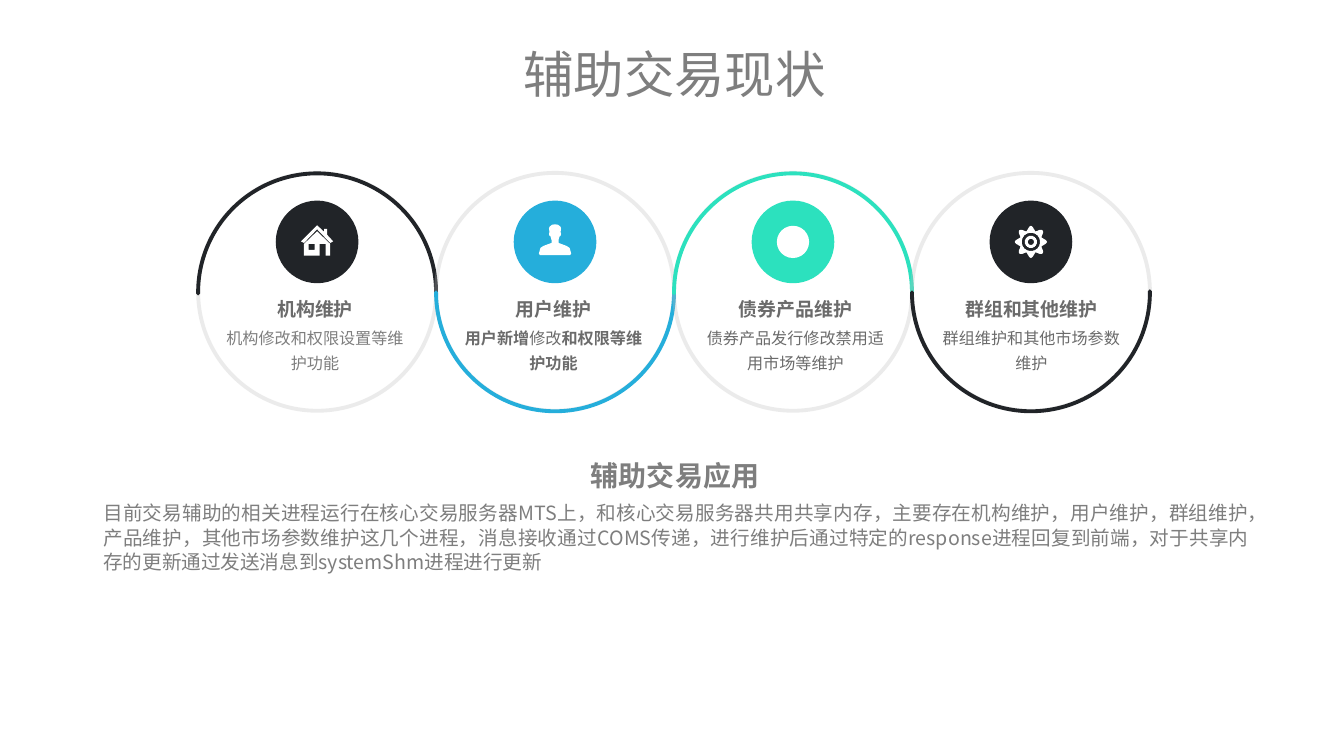
import math

from lxml import etree
from pptx import Presentation
from pptx import util as u
from pptx.dml import color as dml
from pptx.enum import shapes, text
from pptx.oxml import ns

PX = 9144
FONT = "Noto Sans CJK SC"
COLORS = {
    "ink": "212428",
    "blue": "25AEDB",
    "mint": "2CE1BE",
    "ring": "BFBFBF",
    "white": "FFFFFF",
    "dark_text": "6B6B6B",
    "gray_text": "7E7E7E",
}
RING = 472
DISC = 164
LINE_WIDTH = 5.5
LINE_SPACING = 34.7
CENTER = text.PP_ALIGN.CENTER
OVAL = shapes.MSO_SHAPE.OVAL

CARDS = [
    dict(title="机构维护", runs=[("机构修改和权限设置等维护功能", False)], color="ink",
         body_color="gray_text", icon="house", text_left=43, flipped=False),
    dict(title="用户维护", runs=[("用户新增", True), ("修改", False), ("和权限等维护功能", True)],
         color="blue", body_color="dark_text", icon="person", text_left=44, flipped=True),
    dict(title="债券产品维护", runs=[("债券产品发行修改禁用适用市场等维护", False)], color="mint",
         body_color="dark_text", icon="dot", text_left=52, flipped=False),
    dict(title="群组和其他维护", runs=[("群组维护和其他市场参数维护", False)], color="ink",
         body_color="dark_text", icon="gear", text_left=48, flipped=True),
]
SUMMARY = (
    "目前交易辅助的相关进程运行在核心交易服务器MTS上，和核心交易服务器共用共享内存，"
    "主要存在机构维护，用户维护，群组维护，产品维护，其他市场参数维护这几个进程，"
    "消息接收通过COMS传递，进行维护后通过特定的response进程回复到前端，"
    "对于共享内存的更新通过发送消息到systemShm进程进行更新"
)


def px(*lengths):
    return [u.Emu(length * PX) for length in lengths]


def rgb(name):
    return dml.RGBColor.from_string(COLORS[name])


def add_run(paragraph, content, size, color="gray_text", bold=False, tracking=None):
    run = paragraph.add_run()
    run.text = content
    font = run.font
    font.size = u.Pt(size)
    font.bold = bold
    font.name = FONT
    font.color.rgb = rgb(color)
    properties = run._r.get_or_add_rPr()
    etree.SubElement(properties, ns.qn("a:ea"), typeface=FONT)
    if tracking:
        properties.set("spc", str(tracking))


def format_paragraph(paragraph, align=CENTER, spacing=LINE_SPACING, after=0):
    paragraph.alignment = align
    paragraph.line_spacing = u.Pt(spacing)
    paragraph.space_after = u.Pt(after)


def add_text_frame(slide, box, wrap=True):
    frame = slide.shapes.add_textbox(*px(*box)).text_frame
    frame.word_wrap = wrap
    frame.margin_left = frame.margin_top = frame.margin_right = frame.margin_bottom = 0
    return frame


def style_fill(shape, color):
    shape.shadow.inherit = False
    shape.fill.solid()
    shape.fill.fore_color.rgb = rgb(color)
    shape.line.fill.background()


def add_outline(slide, kind, box, color, opacity=None):
    shape = slide.shapes.add_shape(kind, *px(*box))
    shape.shadow.inherit = False
    shape.fill.background()
    shape.line.color.rgb = rgb(color)
    shape.line.width = u.Pt(LINE_WIDTH)
    line = shape.line._get_or_add_ln()
    line.set("cap", "rnd")
    if opacity:
        etree.SubElement(line.find(".//" + ns.qn("a:srgbClr")), ns.qn("a:alpha"),
                         val=str(opacity * 1000))
    return shape


def polar_contour(radius_at, steps=96):
    angles = [2 * math.pi * step / steps for step in range(steps)]
    return [(radius_at(angle) * math.cos(angle), radius_at(angle) * math.sin(angle))
            for angle in angles]


def house_contours():
    roof = [(-32, -1), (0, -33), (14, -20), (14, -26), (20, -26), (20, -14),
            (32, -1), (26, 2), (0, -25), (-26, 2)]
    walls = [(-26, 4), (0, -21), (26, 4), (26, 27), (17, 27), (17, 4),
             (5, 4), (5, 27), (-26, 27)]
    window = [(-17, 4), (-5, 4), (-5, 16), (-17, 16)]
    return [roof, walls, window]


def person_contours():
    half = [(0, -35), (6, -34), (11, -30), (12, -26), (11, -20), (12, -16), (11, -12),
            (9, -11), (7, -4), (7, 2), (15, 5), (23, 8), (29, 12), (32, 23), (30, 26)]
    return [half + [(-x, y) for x, y in reversed(half[1:])]]


def gear_contours():
    teeth = polar_contour(lambda angle: 27.5 + 4.5 * math.cos(8 * angle))
    rings = [polar_contour(lambda angle, radius=radius: radius) for radius in (18, 12, 6)]
    return [teeth] + rings


ICONS = {"house": house_contours, "person": person_contours, "gear": gear_contours}


def add_icon(slide, name, center_x, center_y):
    if name == "dot":
        shape = slide.shapes.add_shape(OVAL, *px(center_x - 32, center_y - 32, 64, 64))
    else:
        contours = ICONS[name]()
        builder = slide.shapes.build_freeform(*contours[0][0], scale=PX)
        for index, contour in enumerate(contours):
            if index:
                builder.move_to(*contour[0])
            builder.add_line_segments(contour[1:], close=True)
        shape = builder.convert_to_shape(*px(center_x, center_y))
    style_fill(shape, "white")


def add_card(slide, left, top, card):
    add_outline(slide, OVAL, (left, top, RING, RING), "ring", opacity=30)
    arc = add_outline(slide, shapes.MSO_SHAPE.ARC, (left, top + 1, RING, RING), card["color"])
    arc.adjustments[0] = 107.66
    arc.adjustments[1] = 0
    arc.rotation = 180 if card["flipped"] else 0

    disc_left, disc_top = left + (RING - DISC) // 2, top + 55
    disc = slide.shapes.add_shape(OVAL, *px(disc_left, disc_top, DISC, DISC))
    style_fill(disc, card["color"])
    add_icon(slide, card["icon"], disc_left + DISC // 2, disc_top + DISC // 2)

    frame = add_text_frame(slide, (left + card["text_left"], top + 244, 378, 153))
    heading = frame.paragraphs[0]
    format_paragraph(heading, after=5.3)
    add_run(heading, card["title"], 27, "dark_text", bold=True)
    body = frame.add_paragraph()
    format_paragraph(body)
    for content, bold in card["runs"]:
        add_run(body, content, 23, card["body_color"], bold=bold)


def add_title(slide, box):
    title = slide.shapes.title
    title.left, title.top, title.width, title.height = px(*box)
    frame = title.text_frame
    frame.auto_size = text.MSO_AUTO_SIZE.NONE
    frame.vertical_anchor = text.MSO_ANCHOR.MIDDLE
    paragraph = frame.paragraphs[0]
    paragraph.alignment = CENTER
    add_run(paragraph, "辅助交易现状", 72)


def add_summary(slide, left, top, width):
    heading = add_text_frame(slide, (left + 964, top, 340, 64), wrap=False).paragraphs[0]
    format_paragraph(heading, spacing=45.3)
    add_run(heading, "辅助交易应用", 40, bold=True, tracking=50)
    body = add_text_frame(slide, (left, top + 79, width, 147)).paragraphs[0]
    format_paragraph(body, align=text.PP_ALIGN.JUSTIFY)
    add_run(body, SUMMARY, 28)


def main():
    presentation = Presentation()
    presentation.slide_width, presentation.slide_height = px(2666, 1500)
    slide = presentation.slides.add_slide(presentation.slide_layouts[5])
    add_title(slide, (729, 81, 1218, 131))
    for index, card in enumerate(CARDS):
        add_card(slide, 393 + index * RING, 343, card)
    add_summary(slide, 205, 914, 2272)
    presentation.save("out.pptx")


if __name__ == "__main__":
    main()
